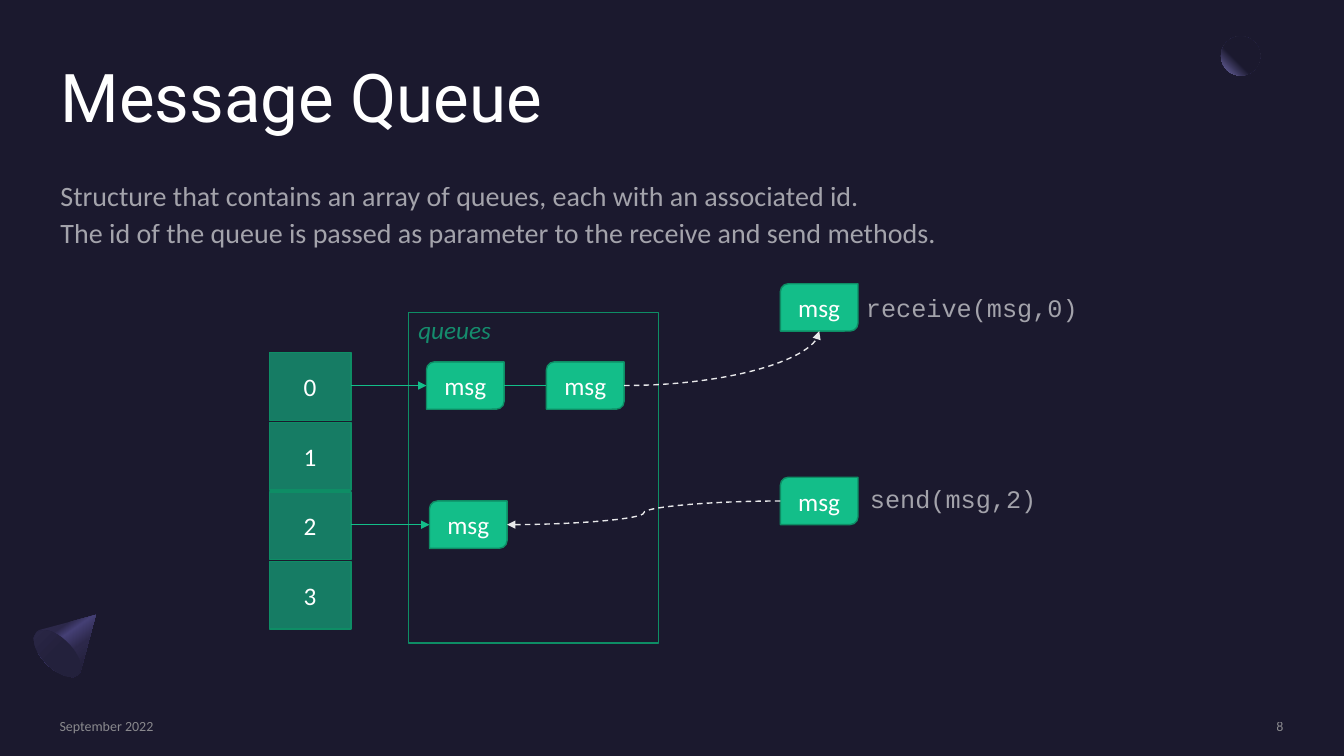
from dataclasses import dataclass

from lxml import etree
from pptx import Presentation
from pptx.dml.color import RGBColor
from pptx.enum.dml import MSO_LINE
from pptx.enum.shapes import MSO_CONNECTOR as Wire, MSO_SHAPE as Preset
from pptx.enum.text import MSO_ANCHOR as Anchor, PP_ALIGN as Align
from pptx.oxml.ns import qn
from pptx.util import Inches, Pt


@dataclass(frozen=True)
class Theme:
    night: str = "1B192E"
    white: str = "FFFFFF"
    green: str = "13BE89"
    edge: str = "0E8D65"
    grey: str = "A6A6A6"
    glow: str = "7771B2"
    violet: str = "454075"
    plum: str = "2C284A"
    shade: str = "23213C"
    heading: str = "Roboto"
    prose: str = "Calibri"
    code: str = "Courier New"
    title_size: int = 48
    body_size: int = 20
    label_size: int = 18
    footer_size: int = 10


THEME = Theme()
TITLE = "Message Queue"
SUMMARY = [
    "Structure that contains an array of queues, each with an associated id.",
    "The id of the queue is passed as parameter to the receive and send methods.",
]
QUEUE_IDS = ["0", "1", "2", "3"]
MESSAGE = "msg"
QUEUED = {0: [4.23, 5.42], 2: [4.26]}
CALLS = {"receive(msg,0)": (3.05, 8.49, 2.85, 2.39), "send(msg,2)": (4.97, 8.53, 4.75, 1.89)}
FOOTERS = [("September 2022", 0.59, 2.88, Align.LEFT), ("8", 10.88, 1.85, Align.RIGHT)]
CONE = [(0.95, 6.1), (0.8, 6.66), (0.78, 6.69), (0.72, 6.72), (0.64, 6.7), (0.55, 6.66),
        (0.46, 6.59), (0.39, 6.5), (0.35, 6.41), (0.33, 6.33), (0.36, 6.27), (0.39, 6.25)]

WIDTH, HEIGHT = 13.33, 7.5
ARRAY_LEFT, ARRAY_TOP = 2.67, 3.5
CELL_W, CELL_H, ROW_PITCH = 0.81, 0.67, 0.69
MSG_W, MSG_H = 0.77, 0.47
CALLER_LEFT = 7.74

deck = Presentation()
deck.slide_width, deck.slide_height = Inches(WIDTH), Inches(HEIGHT)
slide = deck.slides.add_slide(deck.slide_layouts[5])
slide.background.fill.solid()
slide.background.fill.fore_color.rgb = RGBColor.from_string(THEME.night)


def row_middle(row):
    return ARRAY_TOP + row * ROW_PITCH + CELL_H / 2 - 0.01


def colour(fill, rgb, opacity=100):
    fill.solid()
    fill.fore_color.rgb = RGBColor.from_string(rgb)
    if opacity < 100:
        tint = fill._xPr.find(qn("a:solidFill"))[0]
        etree.SubElement(tint, qn("a:alpha")).set("val", str(opacity * 1000))


def write(frame, lines, size, rgb=THEME.white, opacity=100, font=THEME.prose,
          align=Align.LEFT, anchor=Anchor.TOP, inset=True, italic=False):
    frame.word_wrap = True
    frame.vertical_anchor = anchor
    if not inset:
        frame.margin_left = frame.margin_right = frame.margin_top = frame.margin_bottom = 0
    paragraph = frame.paragraphs[0]
    paragraph.alignment = align
    for index, line in enumerate(lines):
        if index:
            paragraph.add_line_break()
        run = paragraph.add_run()
        run.text = line
        run.font.name, run.font.size, run.font.italic = font, Pt(size), italic
        colour(run.font.fill, rgb, opacity)
    return paragraph


def add_text(box, lines, size, **style):
    area = slide.shapes.add_textbox(*map(Inches, box))
    return write(area.text_frame, lines, size, **style)


def add_box(preset, box, opacity=100, label=None):
    shape = slide.shapes.add_shape(preset, *map(Inches, box))
    shape.shadow.inherit = False
    if opacity:
        colour(shape.fill, THEME.green, opacity)
    else:
        shape.fill.background()
    colour(shape.line.fill, THEME.edge)
    shape.line.width = Pt(1)
    if label:
        write(shape.text_frame, [label], THEME.label_size,
              align=Align.CENTER, anchor=Anchor.MIDDLE)


def add_message(left, middle):
    add_box(Preset.ROUND_2_DIAG_RECTANGLE, (left, middle - MSG_H / 2, MSG_W, MSG_H),
            label=MESSAGE)


def add_wire(start, end, kind=Wire.STRAIGHT, arrow=True):
    wire = slide.shapes.add_connector(kind, *map(Inches, start + end))
    curved = kind == Wire.CURVE
    colour(wire.line.fill, THEME.white if curved else THEME.green, 90 if curved else 100)
    wire.line.width = Pt(1 if curved else 0.5)
    if curved:
        wire.line.dash_style = MSO_LINE.DASH
    if arrow:
        etree.SubElement(wire.line._get_or_add_ln(), qn("a:tailEnd")).set("type", "triangle")
    etree.SubElement(wire.element.spPr, qn("a:effectLst"))
    return wire


def shade(shape, stops, angle=None):
    shape.shadow.inherit = False
    shape.line.fill.background()
    shape.fill.gradient()
    gradient = shape.element.spPr.find(qn("a:gradFill"))
    for child in list(gradient):
        gradient.remove(child)
    stop_list = etree.SubElement(gradient, qn("a:gsLst"))
    for share, rgb in stops:
        stop = etree.SubElement(stop_list, qn("a:gs"), pos=str(share * 1000))
        etree.SubElement(stop, qn("a:srgbClr"), val=rgb)
    if angle is None:
        radial = etree.SubElement(gradient, qn("a:path"), {"path": "circle"})
        etree.SubElement(radial, qn("a:fillToRect"), l="100000", b="100000")
    else:
        etree.SubElement(gradient, qn("a:lin"), ang=str(angle * 60000), scaled="0")


def add_decor():
    moon = slide.shapes.add_shape(Preset.OVAL, *map(Inches, (12.11, 0.36, 0.39, 0.39)))
    shade(moon, [(60, THEME.night), (100, THEME.glow)])
    outline = slide.shapes.build_freeform(*map(Inches, CONE[0]), scale=1.0)
    outline.add_line_segments([(Inches(x), Inches(y)) for x, y in CONE[1:]], close=True)
    shade(outline.convert_to_shape(), [(30, THEME.plum), (40, THEME.violet),
                                       (60, THEME.plum), (100, THEME.night)], 55)
    base = slide.shapes.add_shape(Preset.OVAL, *map(Inches, (0.42, 6.19, 0.3, 0.59)))
    base.rotation = 135
    shade(base, [(50, THEME.shade), (100, THEME.plum)], 90)


def add_headings():
    title = slide.shapes.title
    title.left, title.top, title.width, title.height = map(Inches, (0.6, 0.55, 12.13, 1.07))
    write(title.text_frame, [TITLE], THEME.title_size, font=THEME.heading, inset=False)
    summary = add_text((0.6, 1.74, 11, 0.74), SUMMARY, THEME.body_size, opacity=60, inset=False)
    summary.line_spacing = 1.1
    summary.space_before, summary.space_after = Pt(10), Pt(8)
    for words, left, width, align in FOOTERS:
        add_text((left, 7.12, width, 0.17), [words], THEME.footer_size, rgb=THEME.grey,
                 opacity=80, align=align, anchor=Anchor.MIDDLE, inset=False)


def add_queues():
    for row, queue_id in enumerate(QUEUE_IDS):
        add_box(Preset.RECTANGLE, (ARRAY_LEFT, ARRAY_TOP + row * ROW_PITCH, CELL_W, CELL_H),
                60, queue_id)
    add_box(Preset.RECTANGLE, (4.05, 3.1, 2.48, 3.28), 0)
    add_text((4.05, 3.07, 1.08, 0.4), ["queues"], THEME.label_size, rgb=THEME.green,
             opacity=70, italic=True)
    for row, lefts in QUEUED.items():
        middle, previous = row_middle(row), ARRAY_LEFT + CELL_W
        for place, left in enumerate(lefts):
            add_message(left, middle)
            add_wire((previous, middle), (left, middle), arrow=place == 0)
            previous = left + MSG_W


def add_calls():
    for call, (middle, left, top, width) in CALLS.items():
        add_message(CALLER_LEFT, middle)
        add_text((left, top, width, 0.4), [call], THEME.label_size, opacity=60, font=THEME.code)
    receive_middle, send_middle = (place[0] for place in CALLS.values())
    received = add_wire((QUEUED[0][-1] + MSG_W, row_middle(0)),
                        (CALLER_LEFT + MSG_W / 2, receive_middle + MSG_H / 2), Wire.CURVE)
    received.element.spPr.find(qn("a:prstGeom")).set("prst", "curvedConnector2")
    add_wire((CALLER_LEFT, send_middle), (QUEUED[2][-1] + MSG_W, row_middle(2)), Wire.CURVE)


add_decor()
add_headings()
add_queues()
add_calls()
deck.save("out.pptx")
